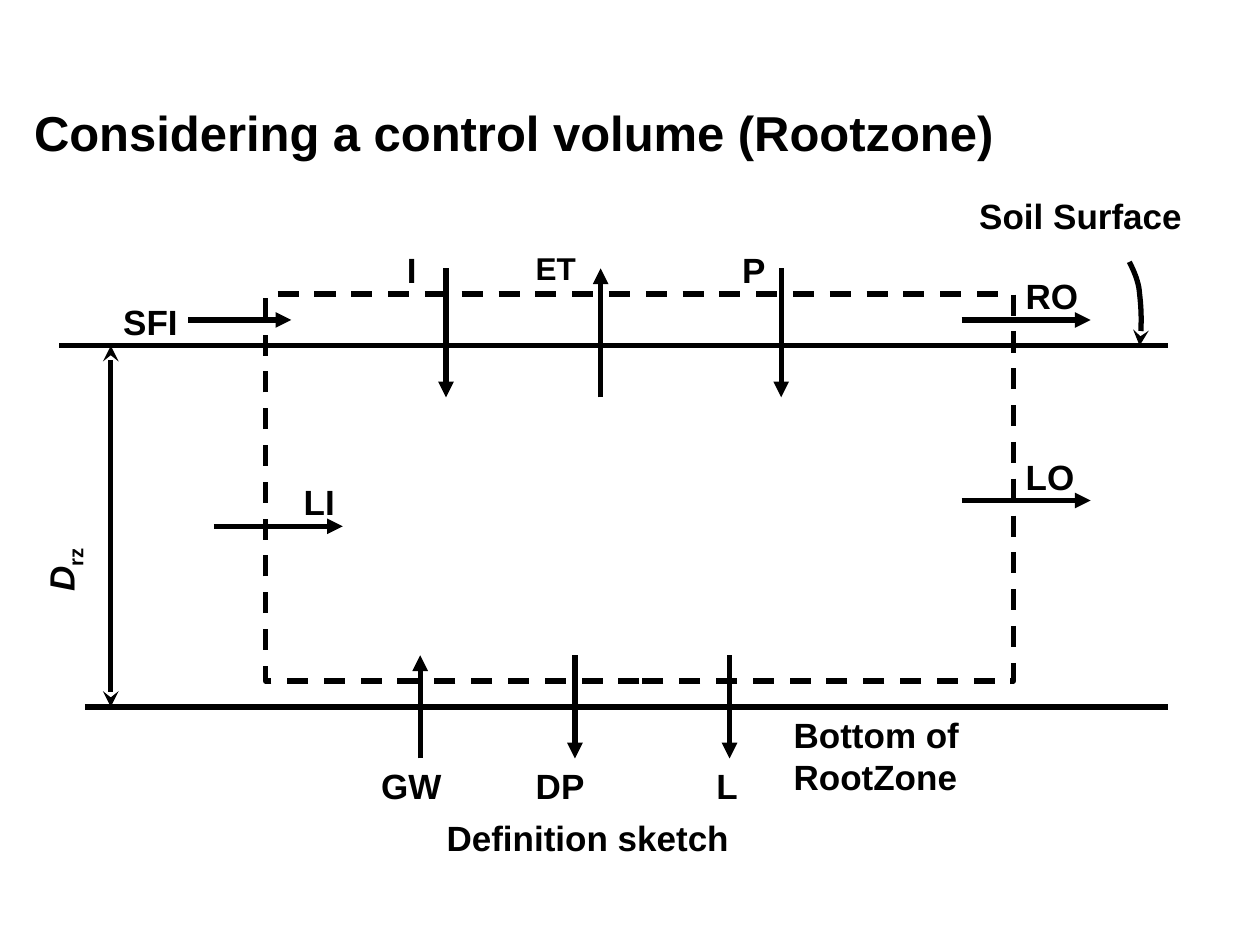
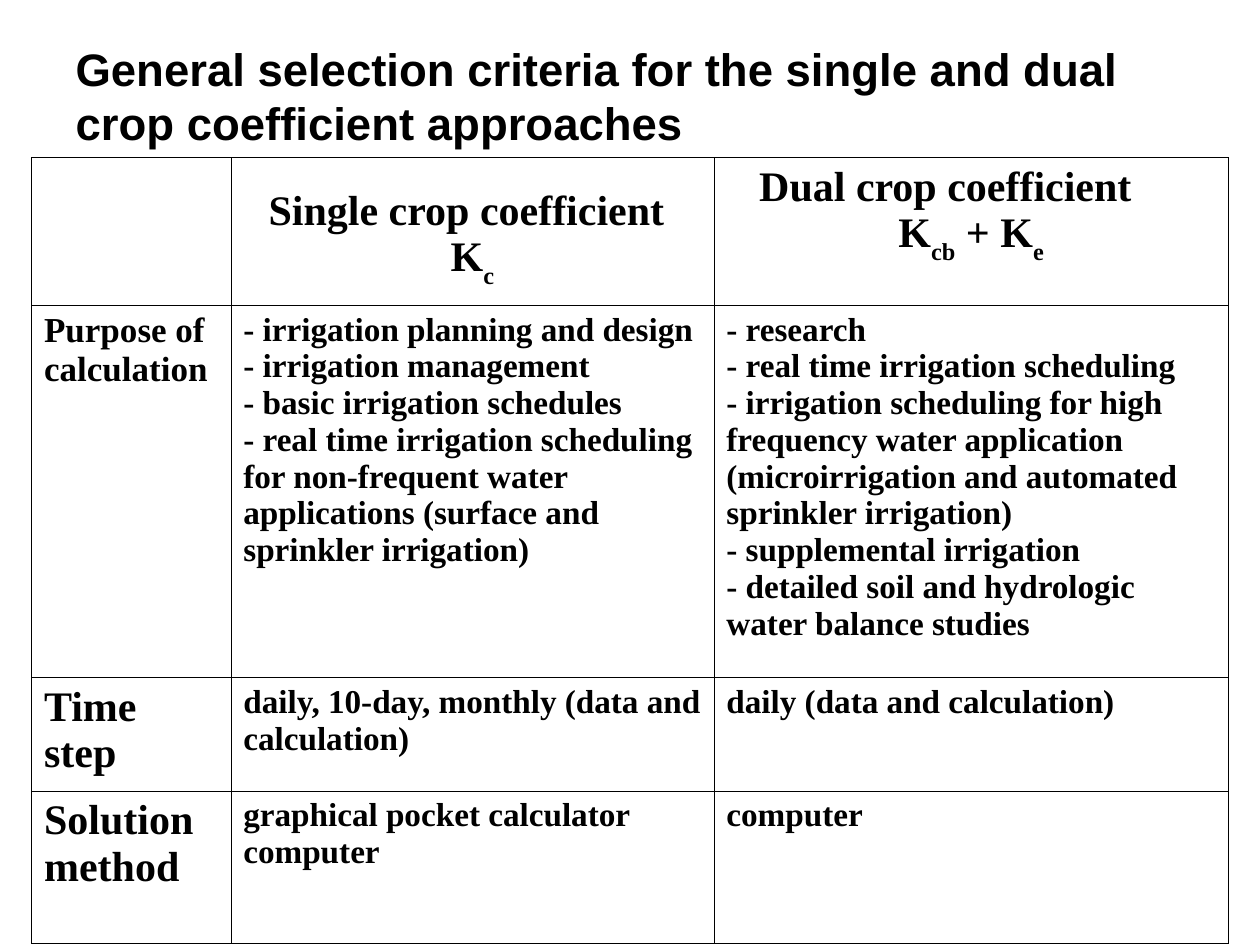
from dataclasses import dataclass

from lxml import etree
from pptx import Presentation
from pptx.dml.color import RGBColor
from pptx.enum.dml import MSO_LINE_DASH_STYLE as DASH
from pptx.enum.shapes import MSO_CONNECTOR as CONN, MSO_SHAPE as SHAPE
from pptx.enum.text import MSO_ANCHOR as ANCHOR, MSO_AUTO_SIZE as AUTO, PP_ALIGN as ALIGN
from pptx.oxml.ns import qn
from pptx.util import Inches, Pt

COLORS = {"ink": "000000"}
SANS, SERIF = "Arial", "Times New Roman"
SLIDE_W, SLIDE_H = 10, 7.5
TITLE_ONLY = 5


@dataclass
class Grid:
    """A box in inches, divided into columns and rows."""
    left: float
    top: float
    width: float
    height: float
    cols: float = 1
    rows: float = 1

    def at(self, col, row):
        return (Inches(self.left + self.width * col / self.cols),
                Inches(self.top + self.height * row / self.rows))

    def size(self, cols, rows):
        return Inches(self.width * cols / self.cols), Inches(self.height * rows / self.rows)


def ink():
    return RGBColor.from_string(COLORS["ink"])


def write(p, text, font=SANS, size=20, italic=False, base=0):
    """Add one bold run; base shifts the baseline in percent."""
    r = p.add_run()
    r.text = text
    r.font.name, r.font.size = font, Pt(size)
    r.font.bold, r.font.italic = True, italic
    r.font.color.rgb = ink()
    if base:
        r._r.get_or_add_rPr().set("baseline", str(base * 1000))
    return r


def add_title(slide, box, text, size):
    sp = slide.shapes.title
    sp.left, sp.top = box.at(0, 0)
    sp.width, sp.height = box.size(1, 1)
    tf = sp.text_frame
    tf.auto_size, tf.vertical_anchor = AUTO.NONE, ANCHOR.MIDDLE
    p = tf.paragraphs[0]
    p.alignment = ALIGN.LEFT
    write(p, text, size=size)


def add_label(slide, grid, col, row, cols, rows, text, size=20, align=ALIGN.LEFT, italic=False):
    sp = slide.shapes.add_textbox(*grid.at(col, row), *grid.size(cols, rows))
    sp.text_frame.word_wrap = True
    p = sp.text_frame.paragraphs[0]
    p.alignment = align
    write(p, text, size=size, italic=italic)
    return sp


def style_line(sp, head=None, tail=None):
    """Heavy line with optional arrowheads."""
    sp.line.color.rgb, sp.line.width = ink(), Pt(3)
    ln = sp.line._get_or_add_ln()
    for tag, kind in (("a:headEnd", head), ("a:tailEnd", tail)):
        if kind:
            etree.SubElement(ln, qn(tag)).set("type", kind)


def add_line(slide, grid, start, end, head=None, tail=None):
    sp = slide.shapes.add_connector(CONN.STRAIGHT, *grid.at(*start), *grid.at(*end))
    style_line(sp, head, tail)
    etree.SubElement(sp._element.spPr, qn("a:effectLst"))


def bezier(p0, p1, p2, p3, steps=12):
    for i in range(1, steps + 1):
        t = i / steps
        weights = ((1 - t) ** 3, 3 * t * (1 - t) ** 2, 3 * t * t * (1 - t), t ** 3)
        yield tuple(sum(w * p[k] for w, p in zip(weights, (p0, p1, p2, p3))) for k in (0, 1))


def add_surface_pointer(slide, grid):
    """Curved arrow from the label down to the soil surface."""
    start, middle, end = (41.5, -0.25), (41.9, 1), (41.9, 3)
    points = [*bezier(start, (41.6, -0.05), (41.87, 0.45), middle),
              *bezier(middle, (41.96, 1.47), (42, 2.2), end)]
    fb = slide.shapes.build_freeform(*grid.at(*start))
    fb.add_line_segments([grid.at(*pt) for pt in points], close=False)
    sp = fb.convert_to_shape()
    sp.fill.background()
    style_line(sp, tail="stealth")
    sp.shadow.inherit = False


def add_control_volume(slide, grid):
    # Soil surface and bottom of the root zone
    add_line(slide, grid, (0, 3), (43, 3))
    add_line(slide, grid, (1, 17), (43, 17))

    # Dashed control volume and its depth
    sp = slide.shapes.add_shape(SHAPE.RECTANGLE, *grid.at(8, 1), *grid.size(29, 15))
    sp.fill.background()
    sp.line.dash_style = DASH.DASH
    style_line(sp)
    sp.shadow.inherit = False
    add_line(slide, grid, (2, 3), (2, 17), "stealth", "stealth")

    # Flows: start, end, label, label column, row and width, size
    flows = [
        ((6, 10), (11, 10), "LI", 9, 8, 3, 20),
        ((5, 2), (9, 2), "SFI", 2, 1, 4, 20),
        ((35, 9), (40, 9), "LO", 37, 7, 4, 20),
        ((35, 2), (40, 2), "RO", 37, 0, 4, 20),
        ((14, 19), (14, 15), "GW", 12, 19, 4, 20),
        ((20, 15), (20, 19), "DP", 18, 19, 4, 20),
        ((26, 15), (26, 19), "L", 25, 19, 3, 20),
        ((15, 0), (15, 5), "I", 13, -1, 3, 20),
        ((21, 5), (21, 0), "ET", 18, -1, 4, 18),
        ((28, 0), (28, 5), "P", 26, -1, 3, 20),
    ]
    for start, end, text, col, row, width, size in flows:
        add_line(slide, grid, start, end, tail="triangle")
        add_label(slide, grid, col, row, width, 3, text, size)

    # Remaining labels
    sp = add_label(slide, grid, -1, 10, 3, 3, "D", italic=True)
    write(sp.text_frame.paragraphs[0], "rz", base=-25)
    sp.rotation = -90
    add_label(slide, grid, 28, 17, 13, 3, "Bottom of RootZone")
    add_label(slide, grid, 8, 21, 25, 3, "Definition sketch", align=ALIGN.CENTER)
    add_label(slide, grid, 35.2, -3.1, 9.8, 1.9, "Soil Surface")
    add_surface_pointer(slide, grid)


def set_borders(cell):
    tcPr = cell._tc.get_or_add_tcPr()
    for i, side in enumerate(("lnL", "lnR", "lnT", "lnB")):
        ln = etree.Element(qn("a:" + side), w=str(Pt(0.34)))
        fill = etree.SubElement(ln, qn("a:solidFill"))
        etree.SubElement(fill, qn("a:srgbClr"), val=COLORS["ink"])
        tcPr.insert(i, ln)


def fill_heading(cell, name, symbol, indent, drop=0):
    """Heading name over a centred symbol of (text, baseline) parts."""
    cell.margin_top = Inches(0.05 + drop)
    p = cell.text_frame.paragraphs[0]
    p._p.get_or_add_pPr().set("marL", str(Inches(indent)))
    write(p, name, SERIF, 24)
    p = cell.text_frame.add_paragraph()
    p.alignment = ALIGN.CENTER
    for text, base in symbol:
        write(p, text, SERIF, 24, base=base)


def fill_cell(cell, lines, size):
    tf = cell.text_frame
    for i, line in enumerate(lines):
        p = tf.add_paragraph() if i else tf.paragraphs[0]
        write(p, line, SERIF, size)


def add_criteria_table(slide, box):
    col_widths, row_heights = (1.58, 3.83, 4.08), (1.17, 2.95, 0.9, 1.21)
    # Row label, its size, single coefficient, dual coefficient
    criteria = [
        ("Purpose of calculation", 20,
         ["- irrigation planning and design",
          "- irrigation management",
          "- basic irrigation schedules",
          "- real time irrigation scheduling for non-frequent water applications "
          "(surface and sprinkler irrigation)"],
         ["- research",
          "- real time irrigation scheduling",
          "- irrigation scheduling for high frequency water application "
          "(microirrigation and automated sprinkler irrigation)",
          "- supplemental irrigation",
          "- detailed soil and hydrologic water balance studies"]),
        ("Time step", 24, ["daily, 10-day, monthly (data and calculation)"],
         ["daily (data and calculation)"]),
        ("Solution method", 24, ["graphical pocket calculator computer"], ["computer"]),
    ]
    frame = slide.shapes.add_table(len(row_heights), len(col_widths),
                                   *box.at(0, 0), *box.size(1, 1))
    table = frame.table
    table.first_row = table.horz_banding = False
    for column, width in zip(table.columns, col_widths):
        column.width = Inches(box.width * width / sum(col_widths))
    for row, height in zip(table.rows, row_heights):
        row.height = Inches(box.height * height / sum(row_heights))
    for cell in table.iter_cells():
        cell.fill.background()
        set_borders(cell)

    fill_heading(table.cell(0, 1), "Single crop coefficient", [("K", 0), ("c", -30)],
                 indent=0.2, drop=0.19)
    fill_heading(table.cell(0, 2), "Dual crop coefficient",
                 [("K", 0), ("cb", -30), (" + K", 0), ("e", -30)], indent=0.26)
    for i, (name, size, single, dual) in enumerate(criteria, 1):
        fill_cell(table.cell(i, 0), [name], size)
        fill_cell(table.cell(i, 1), single, 19)
        fill_cell(table.cell(i, 2), dual, 19)


def main():
    prs = Presentation()
    prs.slide_width, prs.slide_height = Inches(SLIDE_W), Inches(SLIDE_H)
    layout = prs.slide_layouts[TITLE_ONLY]

    # Control volume sketch
    slide = prs.slides.add_slide(layout)
    add_title(slide, Grid(0.17, 0.76, 8.08, 0.57),
              "Considering a control volume (Rootzone)", 28)
    add_control_volume(slide, Grid(0.47, 2.13, 8.8, 3.89, cols=43, rows=19))

    # Selection criteria
    slide = prs.slides.add_slide(layout)
    add_title(slide, Grid(0.5, 0.27, 8.58, 0.97),
              "General selection criteria for the single and dual crop coefficient approaches", 26)
    add_criteria_table(slide, Grid(0.25, 1.25, 9.5, 6.24))

    prs.save("out.pptx")


if __name__ == "__main__":
    main()
